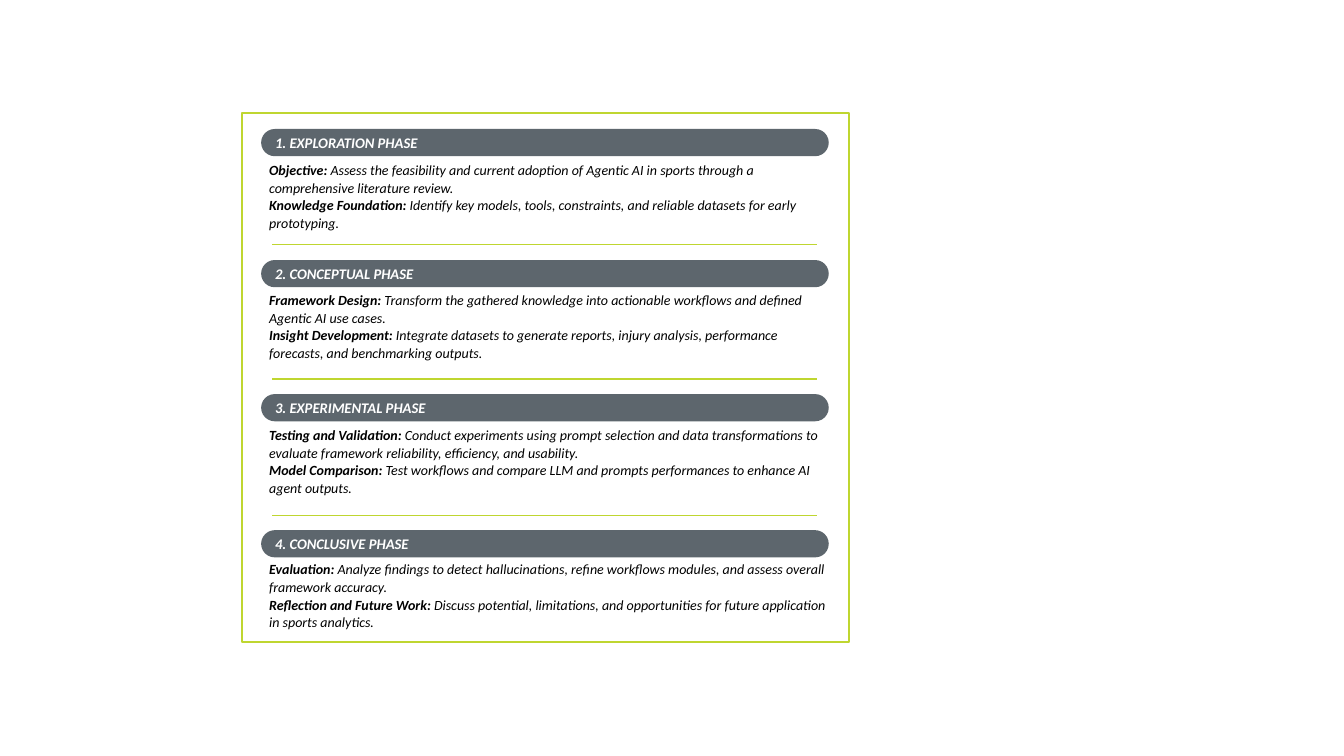
"""Build a slide that lists the four phases of a research project."""
from pptx import Presentation
from pptx.dml.color import RGBColor
from pptx.enum.shapes import MSO_CONNECTOR, MSO_SHAPE
from pptx.enum.text import MSO_ANCHOR, PP_ALIGN
from pptx.oxml.ns import qn
from pptx.util import Inches, Pt
from lxml import etree

RECTANGLE, PILL = MSO_SHAPE.RECTANGLE, MSO_SHAPE.ROUNDED_RECTANGLE
STRAIGHT = MSO_CONNECTOR.STRAIGHT
MIDDLE, TOP, LEFT = MSO_ANCHOR.MIDDLE, MSO_ANCHOR.TOP, PP_ALIGN.LEFT

COLORS = {"accent": "BFD630", "heading": "5D666D", "white": "FFFFFF", "black": "000000"}

PHASES = [
    (1.28, 1.59, "1. EXPLORATION PHASE", [
        ("Objective: ", "Assess the feasibility and current adoption of Agentic AI in sports "
         "through a comprehensive literature review."),
        ("Knowledge Foundation: ", "Identify key models, tools, constraints, and reliable "
         "datasets for early prototyping."),
    ]),
    (2.58, 2.88, "2. CONCEPTUAL PHASE", [
        ("Framework Design: ", "Transform the gathered knowledge into actionable workflows "
         "and defined Agentic AI use cases."),
        ("Insight Development: ", "Integrate datasets to generate reports, injury analysis, "
         "performance forecasts, and benchmarking outputs."),
    ]),
    (3.91, 4.22, "3. EXPERIMENTAL PHASE", [
        ("Testing and Validation: ", "Conduct experiments using prompt selection and data "
         "transformations to evaluate framework reliability, efficiency, and usability."),
        ("Model Comparison: ", "Test workflows and compare LLM and prompts performances "
         "to enhance AI agent outputs."),
    ]),
    (5.26, 5.55, "4. CONCLUSIVE PHASE", [
        ("Evaluation: ", "Analyze findings to detect hallucinations, refine workflows "
         "modules, and assess overall framework accuracy."),
        ("Reflection and Future Work: ", "Discuss potential, limitations, and opportunities "
         "for future application in sports analytics."),
    ]),
]

FRAME = (2.4, 1.12, 6.02, 5.25)
PHASE_LEFT, PHASE_WIDTH = 2.59, 5.63
HEADING_HEIGHT, BODY_HEIGHT = 0.27, 0.73
DIVIDER_LEFT, DIVIDER_RIGHT, DIVIDER_GAP = 2.7, 8.1, 0.15
HEADING_FONT = {"name": "Calibri", "size": Pt(10.5), "italic": True}
BODY_FONT = {"name": "Calibri", "size": Pt(10), "italic": True}
BODY_FRAME = {"word_wrap": True, "vertical_anchor": TOP, "margin_left": Inches(0.08),
              "margin_top": 0, "margin_right": 0, "margin_bottom": 0}


def color(name):
    return RGBColor.from_string(COLORS[name])


def set_all(target, values):
    for name, value in values.items():
        setattr(target, name, value)


def add_span(para, text, font, color_name, bold):
    span = para.add_run()
    span.text = text
    set_all(span.font, {**font, "bold": bold})
    span.font.color.rgb = color(color_name)


def add_frame(page):
    frame = page.shapes.add_shape(RECTANGLE, *map(Inches, FRAME))
    frame.shadow.inherit = False
    frame.fill.background()
    frame.line.color.rgb = color("accent")
    frame.line.width = Pt(1)


def add_heading(page, top, text):
    heading = page.shapes.add_shape(
        PILL, *map(Inches, (PHASE_LEFT, top, PHASE_WIDTH, HEADING_HEIGHT)))
    heading.adjustments[0] = 0.5
    heading.shadow.inherit = False
    heading.fill.solid()
    heading.fill.fore_color.rgb = color("heading")
    heading.line.fill.background()
    heading.text_frame.vertical_anchor = MIDDLE
    para = heading.text_frame.paragraphs[0]
    para.alignment = LEFT
    add_span(para, text, HEADING_FONT, "white", True)


def add_body(page, top, points):
    box = page.shapes.add_textbox(
        *map(Inches, (PHASE_LEFT, top, PHASE_WIDTH, BODY_HEIGHT)))
    set_all(box.text_frame, BODY_FRAME)
    for index, (label, text) in enumerate(points):
        para = box.text_frame.add_paragraph() if index else box.text_frame.paragraphs[0]
        para.line_spacing = 1.06
        add_span(para, label, BODY_FONT, "black", True)
        add_span(para, text, BODY_FONT, "black", False)


def add_divider(page, top):
    divider = page.shapes.add_connector(
        STRAIGHT, *map(Inches, (DIVIDER_LEFT, top, DIVIDER_RIGHT, top)))
    divider.line.color.rgb = color("accent")
    divider.line.width = Pt(0.75)
    etree.SubElement(divider._element.spPr, qn("a:effectLst"))


def main():
    deck = Presentation()
    deck.slide_width, deck.slide_height = Inches(13.33), Inches(7.5)
    page = deck.slides.add_slide(deck.slide_layouts[6])
    add_frame(page)
    for index, (heading_top, body_top, title, points) in enumerate(PHASES):
        if index:
            add_divider(page, heading_top - DIVIDER_GAP)
        add_heading(page, heading_top, title)
        add_body(page, body_top, points)
    deck.save("out.pptx")


if __name__ == "__main__":
    main()
